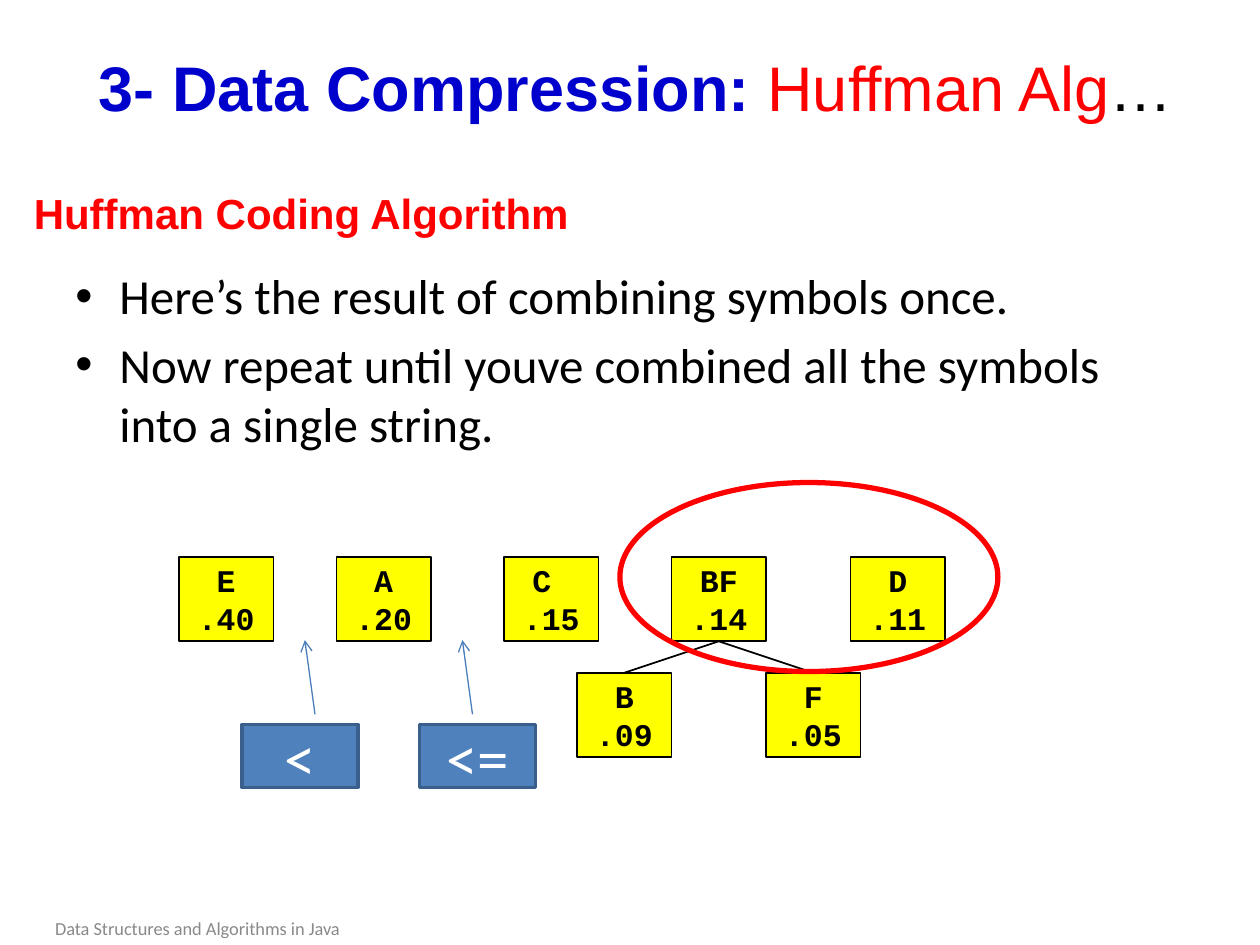
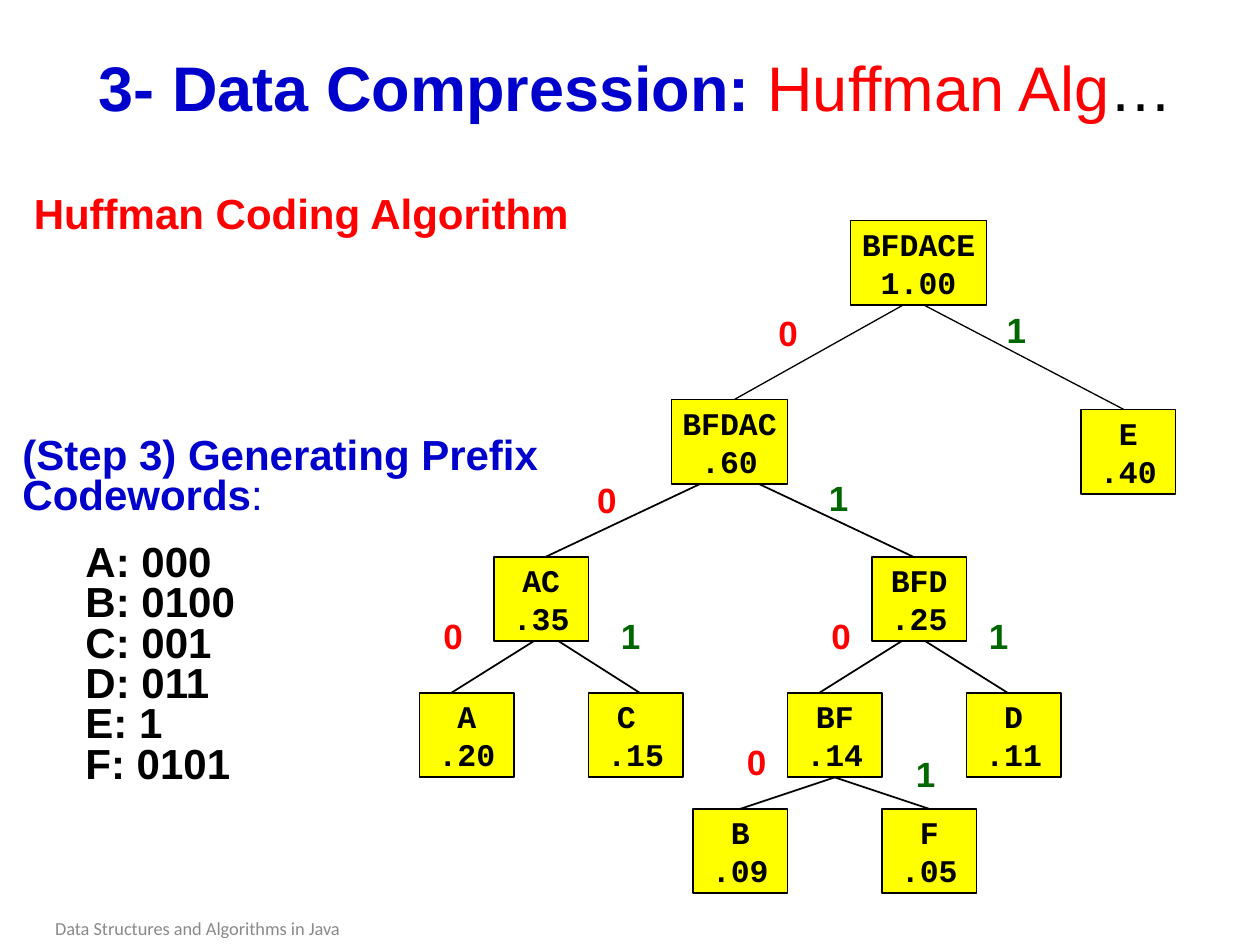
"""Build two slides on Huffman coding: one merge step and the final code tree."""
from dataclasses import dataclass, field
from typing import Any, NamedTuple, Optional

from lxml import etree
from pptx import Presentation, util as u
from pptx.dml.color import RGBColor
from pptx.enum import shapes, text
from pptx.oxml.ns import qn
from pptx.slide import Slide

BLACK = RGBColor(0x00, 0x00, 0x00)
WHITE = RGBColor(0xFF, 0xFF, 0xFF)
RED = RGBColor(0xFF, 0x00, 0x00)
GREEN = RGBColor(0x00, 0x66, 0x00)
BLUE = RGBColor(0x00, 0x00, 0xCC)
YELLOW = RGBColor(0xFF, 0xFF, 0x00)
GREY = RGBColor(0x89, 0x89, 0x89)
STEEL = RGBColor(0x4F, 0x81, 0xBD)
STEEL_EDGE = RGBColor(0x3A, 0x5F, 0x8C)
ARROW = RGBColor(0x4B, 0x7E, 0xBC)

CENTER = text.PP_ALIGN.CENTER
MIDDLE = text.MSO_ANCHOR.MIDDLE
RECT = shapes.MSO_SHAPE.RECTANGLE

NODE_WIDTH, NODE_HEIGHT = 0.75, 0.67
WEIGHTS = {
    "A": ".20", "B": ".09", "C ": ".15", "D": ".11", "E": ".40", "F": ".05",
    "BF": ".14", "AC": ".35", "BFD": ".25", "BFDAC": ".60", "BFDACE": "1.00",
}
CODEWORDS = {"A": "000", "B": "0100", "C": "001", "D": "011", "E": "1", "F": "0101"}


class Box(NamedTuple):
    """Left, top, width and height in inches."""
    left: float
    top: float
    width: float
    height: float

    def lengths(self) -> list[u.Length]:
        """Return the four values as lengths."""
        return [u.Inches(value) for value in self]


class Run(NamedTuple):
    """A stretch of text with one look."""
    words: str
    size: float
    color: RGBColor
    bold: bool = False
    font: str = "Arial"


@dataclass
class Para:
    """A paragraph with its format values and indents in inches."""
    runs: list[Run]
    formats: dict[str, Any] = field(default_factory=dict)
    margin: float = 0
    bullet: bool = False


class Node(NamedTuple):
    """A tree node named by the symbols it holds."""
    symbols: str
    left: float
    top: float
    width: float = NODE_WIDTH


class Branch(NamedTuple):
    """A tree edge from parent to child, in inches."""
    x1: float
    y1: float
    x2: float
    y2: float
    weight: float = 1


class Bit(NamedTuple):
    """A code bit beside an edge."""
    digit: str
    left: float
    top: float


FOREST = [Node("E", 1.42, 4.42), Node("A", 2.67, 4.42), Node("C ", 4, 4.42), Node("D", 6.75, 4.42)]
TREE = [
    Node("BFDACE", 6.75, 1.75, 1.08), Node("BFDAC", 5.33, 3.17, 0.92), Node("E", 8.58, 3.25),
    Node("AC", 3.92, 4.42), Node("BFD", 6.92, 4.42),
    Node("A", 3.33, 5.5), Node("C ", 4.67, 5.5), Node("D", 7.67, 5.5),
]
BRANCHES = [
    Branch(7.17, 2.42, 5.83, 3.17, 0.75), Branch(7.33, 2.42, 8.92, 3.25, 0.75),
    Branch(5.58, 3.83, 4.33, 4.42), Branch(6, 3.83, 7.25, 4.42),
    Branch(4.25, 5.08, 3.58, 5.5), Branch(4.42, 5.08, 5.08, 5.5),
    Branch(7.17, 5.08, 6.5, 5.5), Branch(7.33, 5.08, 8, 5.5),
]
BITS = [
    Bit("0", 6.08, 2.42), Bit("1", 7.89, 2.4), Bit("0", 4.64, 3.75), Bit("1", 6.48, 3.73),
    Bit("0", 3.42, 4.83), Bit("1", 4.83, 4.83), Bit("0", 6.5, 4.83), Bit("1", 7.75, 4.83),
    Bit("0", 5.83, 5.83), Bit("1", 7.17, 5.92),
]
COMPARISONS = {"<": (1.92, 2.5), "<=": (3.33, 3.75)}


def apply(target: Any, formats: dict[str, Any]) -> None:
    """Set each format value on the target."""
    for name, value in formats.items():
        setattr(target, name, value)


def write(frame: Any, paras: list[Para], wrap: bool = True, anchor: Any = text.MSO_ANCHOR.TOP) -> None:
    """Fill a text frame with paragraphs."""
    apply(frame, {"word_wrap": wrap, "vertical_anchor": anchor})
    for index, para in enumerate(paras):
        line = frame.add_paragraph() if index else frame.paragraphs[0]
        apply(line, para.formats)
        if para.margin:
            properties = line._p.get_or_add_pPr()
            properties.set("marL", str(u.Inches(para.margin)))
            properties.set("indent", str(u.Inches(-para.margin if para.bullet else 0)))
            if para.bullet:
                etree.SubElement(properties, qn("a:buFont")).set("typeface", "Arial")
                etree.SubElement(properties, qn("a:buChar")).set("char", "•")
        for piece in para.runs:
            run = line.add_run()
            run.text = piece.words
            apply(run.font, {"size": u.Pt(piece.size), "bold": piece.bold, "name": piece.font})
            run.font.color.rgb = piece.color


def add_text(slide: Slide, box: Box, paras: list[Para], **layout: Any) -> None:
    """Add a text box."""
    write(slide.shapes.add_textbox(*box.lengths()).text_frame, paras, **layout)


def add_block(slide: Slide, box: Box, kind: Any, fill: Optional[RGBColor],
              edge: RGBColor, weight: float) -> Any:
    """Add a preset shape with its fill and outline."""
    block = slide.shapes.add_shape(kind, *box.lengths())
    block.shadow.inherit = False
    if fill is None:
        block.fill.background()
    else:
        block.fill.solid()
        block.fill.fore_color.rgb = fill
    block.line.color.rgb = edge
    block.line.width = u.Pt(weight)
    return block


def add_branch(slide: Slide, branch: Branch, color: RGBColor = BLACK, arrow: bool = False) -> None:
    """Add a straight line, with an open arrowhead at its end if asked."""
    ends = [u.Inches(value) for value in branch[:4]]
    line = slide.shapes.add_connector(shapes.MSO_CONNECTOR.STRAIGHT, *ends)
    line.line.color.rgb = color
    line.line.width = u.Pt(branch.weight)
    if arrow:
        etree.SubElement(line.line._get_or_add_ln(), qn("a:tailEnd")).set("type", "arrow")
    etree.SubElement(line._element.spPr, qn("a:effectLst"))


def add_node(slide: Slide, node: Node) -> None:
    """Add a yellow node with its symbols above its weight."""
    box = Box(node.left, node.top, node.width, NODE_HEIGHT)
    block = add_block(slide, box, RECT, YELLOW, BLACK, 1)
    lines = (node.symbols, WEIGHTS[node.symbols])
    paras = [Para([Run(words, 18, BLACK, True, "Courier New")], {"alignment": CENTER}) for words in lines]
    write(block.text_frame, paras, wrap=False, anchor=MIDDLE)


def add_bf_subtree(slide: Slide, left: float, top: float) -> None:
    """Add node BF with its two children."""
    add_node(slide, Node("BF", left, top))
    middle, bottom = left + NODE_WIDTH / 2, top + NODE_HEIGHT
    for symbol, shift in (("B", -NODE_WIDTH), ("F", NODE_WIDTH)):
        add_node(slide, Node(symbol, left + shift, bottom + 0.25))
        add_branch(slide, Branch(middle, bottom, middle + shift, bottom + 0.25))


def add_frame(deck: Any) -> Slide:
    """Add a slide with the shared title, heading and footer."""
    slide = deck.slides.add_slide(deck.slide_layouts[6])
    title = [Run("3- Data Compression: ", 36, BLUE, True), Run("Huffman Alg", 36, RED), Run("…", 36, BLACK)]
    add_text(slide, Box(0.42, 0.33, 9.25, 0.71), [Para(title, {"alignment": CENTER})], anchor=MIDDLE)
    add_text(slide, Box(0.17, 1.44, 4.67, 0.5), [Para([Run("Huffman Coding Algorithm", 24, RED, True)])])
    footer = Run("Data Structures and Algorithms in Java ", 10.5, GREY, font="Calibri")
    add_text(slide, Box(0, 7.23, 3.17, 0.27), [Para([footer], {"alignment": CENTER})], anchor=MIDDLE)
    return slide


def build_merge_slide(deck: Any) -> None:
    """Show the forest after combining symbols once."""
    slide = add_frame(deck)
    points = (
        "Here’s the result of combining symbols once.",
        "Now repeat until youve combined all the symbols into a single string.",
    )
    add_text(slide, Box(0.5, 2.06, 9, 1.61), [
        Para([Run(point, 28, BLACK, font="Calibri")], {"space_before": u.Pt(5.6)}, 0.35, True)
        for point in points
    ])
    for node in FOREST:
        add_node(slide, node)
    add_bf_subtree(slide, 5.33, 4.42)
    add_block(slide, Box(4.92, 3.83, 3, 1.5), shapes.MSO_SHAPE.OVAL, None, RED, 3)
    for sign, (left, arrow_x) in COMPARISONS.items():
        block = add_block(slide, Box(left, 5.75, 0.92, 0.5), RECT, STEEL, STEEL_EDGE, 2)
        label = Para([Run(sign, 36, WHITE, font="Calibri")], {"alignment": CENTER})
        write(block.text_frame, [label], anchor=MIDDLE)
        add_branch(slide, Branch(arrow_x, 5.67, arrow_x - 0.08, 5.08, 0.75), ARROW, arrow=True)


def build_code_slide(deck: Any) -> None:
    """Show the finished tree and the codewords read from it."""
    slide = add_frame(deck)
    for branch in BRANCHES:
        add_branch(slide, branch)
    for node in TREE:
        add_node(slide, node)
    add_bf_subtree(slide, 6.25, 5.5)
    for bit in BITS:
        digit = Run(bit.digit, 20, RED if bit.digit == "0" else GREEN, True)
        add_text(slide, Box(bit.left, bit.top, 0.36, 0.43), [Para([digit])], wrap=False)
    step = [Run("(Step 3) Generating Prefix Codewords", 24, BLUE, True), Run(":", 24, BLUE)]
    codes = [
        Para([Run(f"{symbol}: {code}", 24, BLACK, True)], {"line_spacing": 0.8}, 0.5)
        for symbol, code in CODEWORDS.items()
    ]
    heading = Para(step, {"line_spacing": 0.8, "space_after": u.Pt(15)})
    add_text(slide, Box(0.08, 3.43, 5.42, 2.9), [heading, *codes])


def main() -> None:
    """Build and save the deck."""
    deck = Presentation()
    apply(deck, {"slide_width": u.Inches(10), "slide_height": u.Inches(7.5)})
    build_merge_slide(deck)
    build_code_slide(deck)
    deck.save("out.pptx")


if __name__ == "__main__":
    main()
